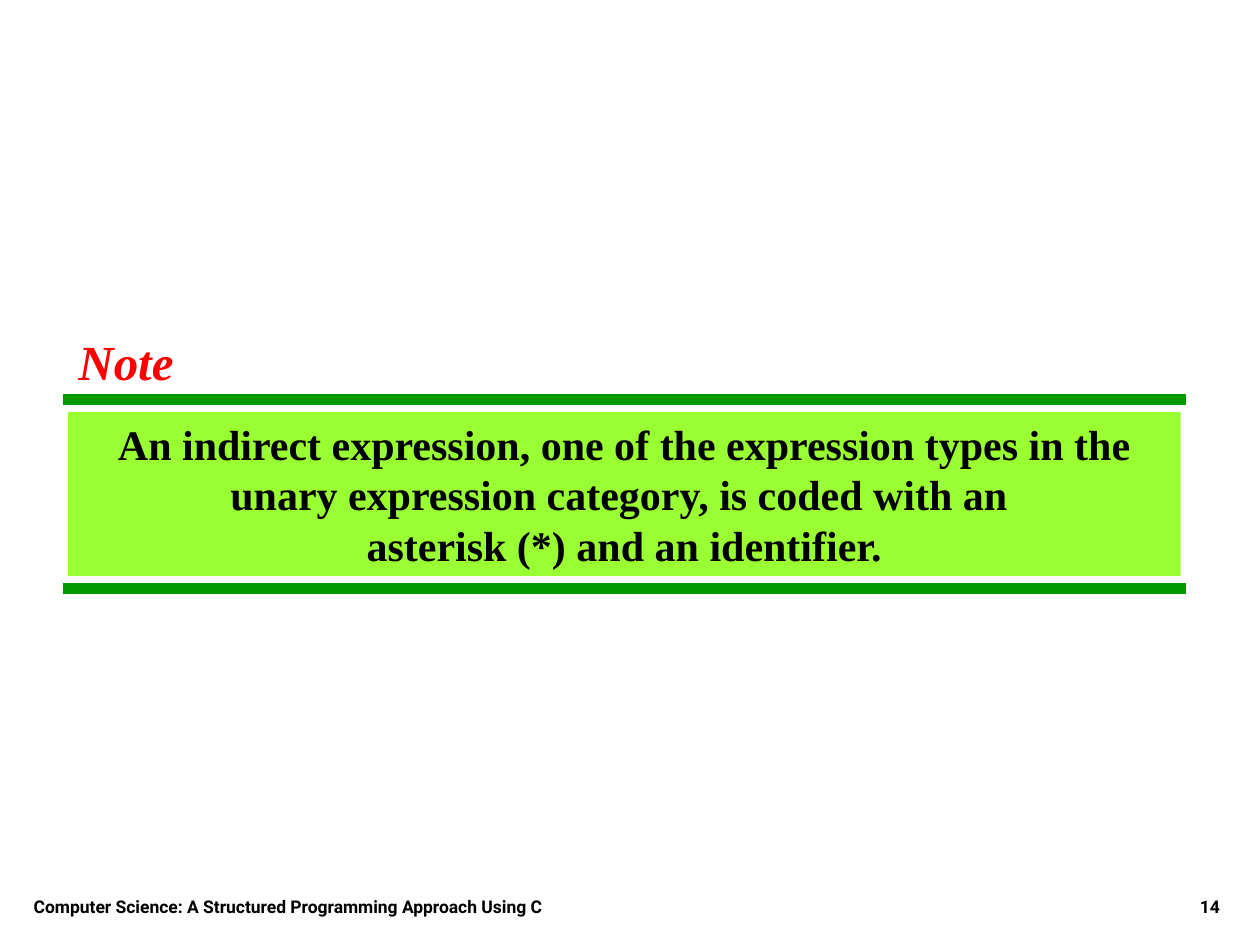
from dataclasses import dataclass

from lxml.etree import SubElement
from pptx import Presentation
from pptx.dml.color import RGBColor
from pptx.enum.shapes import MSO_CONNECTOR, MSO_SHAPE
from pptx.enum.text import MSO_ANCHOR, MSO_AUTO_SIZE, PP_ALIGN
from pptx.oxml.ns import qn
from pptx.util import Cm, Pt

COLOURS = {
    "rule": "009900",
    "panel": "99FF33",
    "heading": "FF0000",
    "text": "000000",
}
SERIF, SANS = "Times New Roman", "Roboto"
RULE_LEFT, RULE_RIGHT = 1.27, 23.91
FOOTER_TOP, FOOTER_HEIGHT = 17.35, 1.27


@dataclass
class TextBlock:
    text: str
    left: float
    top: float
    width: float
    height: float
    font: str
    size: int
    align: PP_ALIGN
    colour: str = "text"
    italic: bool = False
    anchor: MSO_ANCHOR = MSO_ANCHOR.TOP
    wrap: bool = True
    auto_size: MSO_AUTO_SIZE = MSO_AUTO_SIZE.NONE
    fill: str = ""


BLOCKS = [
    TextBlock(
        "An indirect expression, one of the expression types in the unary "
        "expression category, is coded with an \vasterisk (*) and an identifier.",
        1.37, 8.31, 22.43, 3.3, SERIF, 24, PP_ALIGN.CENTER,
        anchor=MSO_ANCHOR.MIDDLE, fill="panel"),
    TextBlock("Note", 1.3, 6.55, 2.48, 1.45, SERIF, 28, PP_ALIGN.CENTER,
              colour="heading", italic=True, wrap=False,
              auto_size=MSO_AUTO_SIZE.SHAPE_TO_FIT_TEXT),
    TextBlock("Computer Science: A Structured Programming Approach Using C",
              0.43, FOOTER_TOP, 14.4, FOOTER_HEIGHT, SANS, 10, PP_ALIGN.LEFT,
              anchor=MSO_ANCHOR.BOTTOM),
    TextBlock("14", 19.56, FOOTER_TOP, 5.28, FOOTER_HEIGHT, SANS, 10,
              PP_ALIGN.RIGHT, anchor=MSO_ANCHOR.BOTTOM),
]


def colour_of(name: str) -> RGBColor:
    return RGBColor.from_string(COLOURS[name])


def draw_rule(page, top: float) -> None:
    rule = page.shapes.add_connector(
        MSO_CONNECTOR.STRAIGHT, Cm(RULE_LEFT), Cm(top), Cm(RULE_RIGHT), Cm(top))
    rule.line.color.rgb = colour_of("rule")
    rule.line.width = Pt(6)
    SubElement(rule._element.spPr, qn("a:effectLst"))


def draw_block(page, block: TextBlock) -> None:
    place = [Cm(n) for n in (block.left, block.top, block.width, block.height)]
    if block.fill:
        box = page.shapes.add_shape(MSO_SHAPE.RECTANGLE, *place)
        box.shadow.inherit = False
        box.fill.solid()
        box.fill.fore_color.rgb = colour_of(block.fill)
        box.line.fill.background()
    else:
        box = page.shapes.add_textbox(*place)

    frame = box.text_frame
    frame.word_wrap = block.wrap
    frame.auto_size = block.auto_size
    frame.vertical_anchor = block.anchor
    paragraph = frame.paragraphs[0]
    paragraph.text = block.text
    paragraph.alignment = block.align
    formats = {"name": block.font, "size": Pt(block.size), "bold": True,
               "italic": block.italic}
    for span in paragraph.runs:
        for attribute, value in formats.items():
            setattr(span.font, attribute, value)
        span.font.color.rgb = colour_of(block.colour)


def main() -> None:
    deck = Presentation()
    deck.slide_width, deck.slide_height = Cm(25.4), Cm(19.05)
    page = deck.slides.add_slide(deck.slide_layouts[6])

    # Rules above and below the panel
    for top in (8.05, 11.86):
        draw_rule(page, top)

    # Panel, heading and footer
    for block in BLOCKS:
        draw_block(page, block)

    deck.save("out.pptx")


if __name__ == "__main__":
    main()
